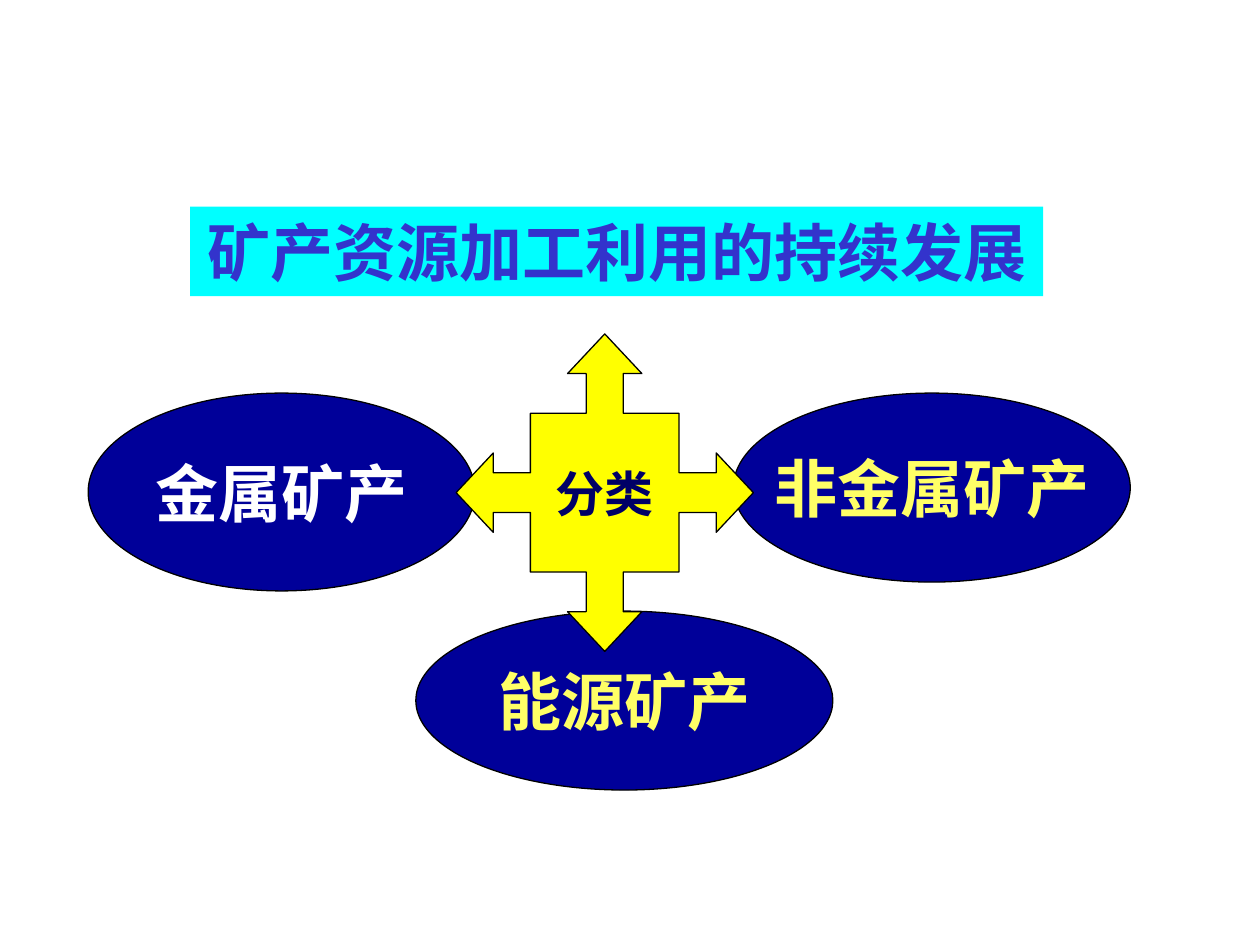
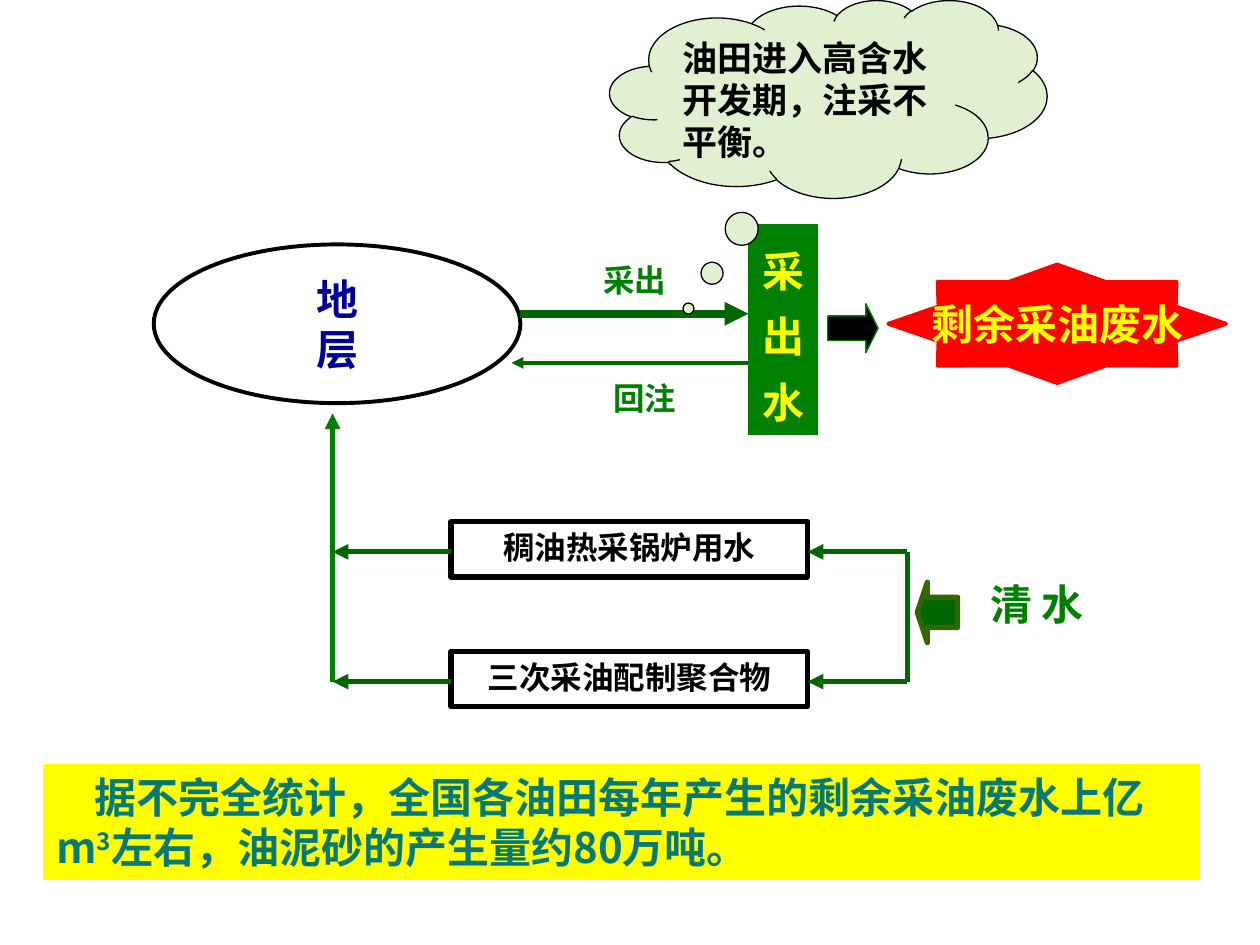
from dataclasses import dataclass

import pptx
import pptx.dml.color
import pptx.enum.shapes
import pptx.enum.text
import pptx.oxml
import pptx.oxml.ns
import pptx.util
from pptx.util import Inches

SHAPE = pptx.enum.shapes.MSO_SHAPE
ALIGN = pptx.enum.text.PP_ALIGN
ANCHOR = pptx.enum.text.MSO_ANCHOR


@dataclass(frozen=True)
class Theme:
    latin: str = "Arial"
    cjk: str = "Noto Sans CJK SC"
    black: str = "000000"
    white: str = "FFFFFF"
    navy: str = "000099"
    ink: str = "000066"
    indigo: str = "3333CC"
    cyan: str = "00FFFF"
    yellow: str = "FFFF00"
    cream: str = "FFFF66"
    red: str = "FF0000"
    green: str = "008000"
    forest: str = "006600"
    olive: str = "336600"
    mint: str = "E0F0D1"
    teal: str = "067875"
    heading: int = 36
    hub: int = 28
    body: int = 24
    cloud: int = 20
    label: int = 18
    hairline: float = 0.75


T = Theme()

# Slide 1
HEADING = "矿产资源加工利用的持续发展"
HEADING_BOX = (1.51, 1.64, 6.77, 0.71)
CLASSES = [
    ("能源矿产", (3.3, 4.85, 3.31, 1.42), T.cream, T.latin),
    ("非金属矿产", (5.82, 3.12, 3.15, 1.5), T.cream, T.latin),
    ("金属矿产", (0.7, 3.12, 3.07, 1.57), T.white, T.cjk),
]
HUB = "分类"
HUB_CENTRE, HUB_HALF = (4.8, 3.91), (1.18, 1.26)
# One arm of the four-way arrow, as fractions of its half width and height
HUB_ARM = [(-0.5, -0.5), (-0.125, -0.5), (-0.125, -0.75), (-0.25, -0.75),
           (0, -1), (0.25, -0.75), (0.125, -0.75), (0.125, -0.5)]

# Slide 2
STRATUM = "地\n层"
PRODUCED = "采出水"
SURPLUS = "剩余采油废水"
FLOW_LABELS = [("回注", 4.77, 2.96), ("采出", 4.69, 2.02)]
FLOWS = [((4.13, 2.49), (5.94, 2.49), 4.5), ((5.94, 2.88), (4.06, 2.88), 2.25)]
WATER_USES = [("稠油热采锅炉用水", 4.14), ("三次采油配制聚合物", 5.17)]
USE_LEFT, USE_WIDTH, USE_HEIGHT, USE_AXIS = 3.58, 2.83, 0.44, 0.24
RETURN_X, SUPPLY_X, STRATUM_INLET_Y = 2.64, 7.2, 3.28
FRESH = "清 水"
CAUSE = "油田进入高含水开发期，注采不平衡。"
STATISTIC = [("据不完全统计，全国各油田每年产生的剩余采油废水上亿m", False), ("3", True),
             ("左右，油泥砂的产生量约80万吨。", False)]


def rgb(code):
    return pptx.dml.color.RGBColor.from_string(code)


def write(shape, text, *, size, color, latin=T.cjk, align=ALIGN.CENTER,
          anchor=ANCHOR.MIDDLE, wrap=False, spacing=None, indent=0):
    """Text is a string with a line per paragraph, or (words, raised) runs of one paragraph."""
    frame = shape.text_frame
    frame.auto_size = pptx.enum.text.MSO_AUTO_SIZE.NONE
    frame.word_wrap = wrap
    frame.vertical_anchor = anchor
    lines = [[(line, False)] for line in text.split("\n")] if isinstance(text, str) else [text]
    for number, line in enumerate(lines):
        paragraph = frame.add_paragraph() if number else frame.paragraphs[0]
        paragraph.alignment = align
        if spacing:
            paragraph.line_spacing = spacing
        if indent:
            paragraph._p.get_or_add_pPr().set("indent", str(Inches(indent)))
        for words, raised in line:
            run = paragraph.add_run()
            run.text = words
            font = run.font
            font.size, font.bold, font.name = pptx.util.Pt(size), True, latin
            font.color.rgb = rgb(color)
            properties = run._r.get_or_add_rPr()
            east_asian = pptx.oxml.parse_xml(
                f'<a:ea {pptx.oxml.ns.nsdecls("a")} typeface="{T.cjk}"/>')
            properties.find(pptx.oxml.ns.qn("a:latin")).addnext(east_asian)
            if raised:
                properties.set("baseline", "30000")


def paint(shape, fill=None, line=None, weight=T.hairline):
    shape.shadow.inherit = False
    if fill:
        shape.fill.solid()
        shape.fill.fore_color.rgb = rgb(fill)
    else:
        shape.fill.background()
    if line:
        shape.line.color.rgb = rgb(line)
        shape.line.width = pptx.util.Pt(weight)
    else:
        shape.line.fill.background()
    return shape


def add_figure(slide, kind, box, adjust=(), **look):
    shape = slide.shapes.add_shape(kind, *map(Inches, box))
    for number, value in enumerate(adjust):
        shape.adjustments[number] = value
    return paint(shape, **look)


def add_label(slide, text, box, **text_format):
    write(slide.shapes.add_textbox(*map(Inches, box)), text,
          color=T.green, anchor=ANCHOR.TOP, **text_format)


def add_flow(slide, start, end, weight=3, color=T.forest, arrow=True):
    flow = slide.shapes.add_connector(pptx.enum.shapes.MSO_CONNECTOR.STRAIGHT,
                                      *map(Inches, start + end))
    flow.line.color.rgb = rgb(color)
    flow.line.width = pptx.util.Pt(weight)
    namespace = pptx.oxml.ns.nsdecls("a")
    if arrow:
        flow.line._get_or_add_ln().append(
            pptx.oxml.parse_xml(f'<a:tailEnd {namespace} type="triangle"/>'))
    flow._element.spPr.append(pptx.oxml.parse_xml(f"<a:effectLst {namespace}/>"))


def add_hub(slide):
    outline, arm = [], HUB_ARM
    for _ in range(4):
        outline += arm
        arm = [(-y, x) for x, y in arm]
    points = [tuple(Inches(centre + half * part)
                    for centre, half, part in zip(HUB_CENTRE, HUB_HALF, point))
              for point in outline]
    builder = slide.shapes.build_freeform(*points[0])
    builder.add_line_segments(points[1:], close=True)
    hub = paint(builder.convert_to_shape(), fill=T.yellow, line=T.black)
    write(hub, HUB, size=T.hub, color=T.ink, latin=T.latin)


def build_classes(deck):
    slide = deck.slides.add_slide(deck.slide_layouts.get_by_name("Title Only"))
    title = slide.shapes.title
    title.left, title.top, title.width, title.height = map(Inches, HEADING_BOX)
    title.fill.solid()
    title.fill.fore_color.rgb = rgb(T.cyan)
    write(title, HEADING, size=T.heading, color=T.indigo, latin=T.latin, wrap=True)
    for name, box, color, latin in CLASSES:
        mineral = add_figure(slide, SHAPE.OVAL, box, fill=T.navy, line=T.black)
        write(mineral, name, size=T.heading, color=color, latin=latin)
    add_hub(slide)


def build_water_cycle(deck):
    slide = deck.slides.add_slide(deck.slide_layouts.get_by_name("Blank"))
    stratum = add_figure(slide, SHAPE.OVAL, (1.22, 1.94, 2.91, 1.26), line=T.black, weight=2.25)
    write(stratum, STRATUM, size=T.body, color=T.navy)

    for start, end, weight in FLOWS:
        add_flow(slide, start, end, weight)
    for text, left, top in FLOW_LABELS:
        add_label(slide, text, (left, top, 0.7, 0.4), size=T.label, align=ALIGN.LEFT)

    produced = add_figure(slide, SHAPE.RECTANGLE, (5.94, 1.78, 0.55, 1.67),
                          fill=T.green, line=T.green)
    write(produced, PRODUCED, size=T.body, color=T.yellow, anchor=ANCHOR.TOP,
          wrap=True, spacing=1.3)
    add_figure(slide, SHAPE.RIGHT_ARROW, (6.57, 2.41, 0.4, 0.39), (0.5, 0.25),
               fill=T.black, line=T.green)
    surplus = add_figure(slide, SHAPE.STAR_8_POINT, (7.05, 2.1, 2.68, 0.94), (0.38,),
                         fill=T.red, line=T.red, weight=2.25)
    write(surplus, SURPLUS, size=T.body, color=T.yellow)

    axes = [top + USE_AXIS for _, top in WATER_USES]
    add_flow(slide, (RETURN_X, axes[-1]), (RETURN_X, STRATUM_INLET_Y), color=T.green)
    add_flow(slide, (SUPPLY_X, axes[0]), (SUPPLY_X, axes[-1]), arrow=False)
    for (use, top), axis in zip(WATER_USES, axes):
        box = add_figure(slide, SHAPE.RECTANGLE, (USE_LEFT, top, USE_WIDTH, USE_HEIGHT),
                         line=T.black, weight=3)
        write(box, use, size=T.label, color=T.black, anchor=ANCHOR.TOP, wrap=True)
        add_flow(slide, (SUPPLY_X, axis), (USE_LEFT + USE_WIDTH, axis))
        add_flow(slide, (USE_LEFT, axis), (RETURN_X, axis))
    add_figure(slide, SHAPE.LEFT_ARROW, (7.28, 4.62, 0.32, 0.48), (0.5, 0.25),
               fill=T.forest, line=T.olive, weight=3)
    add_label(slide, FRESH, (7.68, 4.54, 1.1, 0.5), size=T.body, wrap=True)

    cause = add_figure(slide, SHAPE.CLOUD_CALLOUT, (4.84, 0, 3.47, 1.57), (-0.32, 1.06),
                       fill=T.mint, line=T.black)
    write(cause, CAUSE, size=T.cloud, color=T.black, align=ALIGN.LEFT,
          anchor=ANCHOR.TOP, wrap=True)
    statistic = add_figure(slide, SHAPE.RECTANGLE, (0.35, 6.07, 9.17, 0.91),
                           fill=T.yellow, line=T.yellow, weight=1)
    write(statistic, STATISTIC, size=T.body, color=T.teal, align=ALIGN.LEFT,
          anchor=ANCHOR.TOP, wrap=True, indent=0.3)


def main():
    deck = pptx.Presentation()
    deck.slide_width, deck.slide_height = Inches(10), Inches(7.5)
    build_classes(deck)
    build_water_cycle(deck)
    deck.save("out.pptx")


if __name__ == "__main__":
    main()
